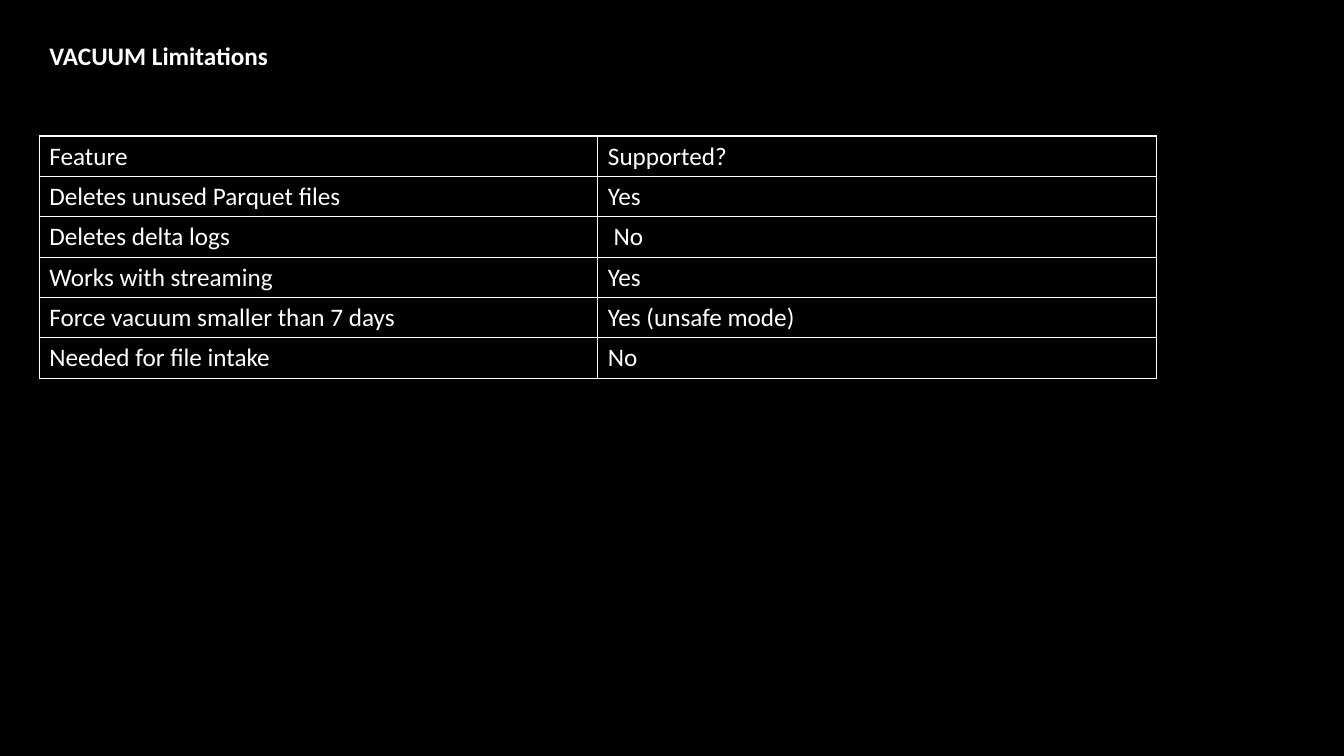
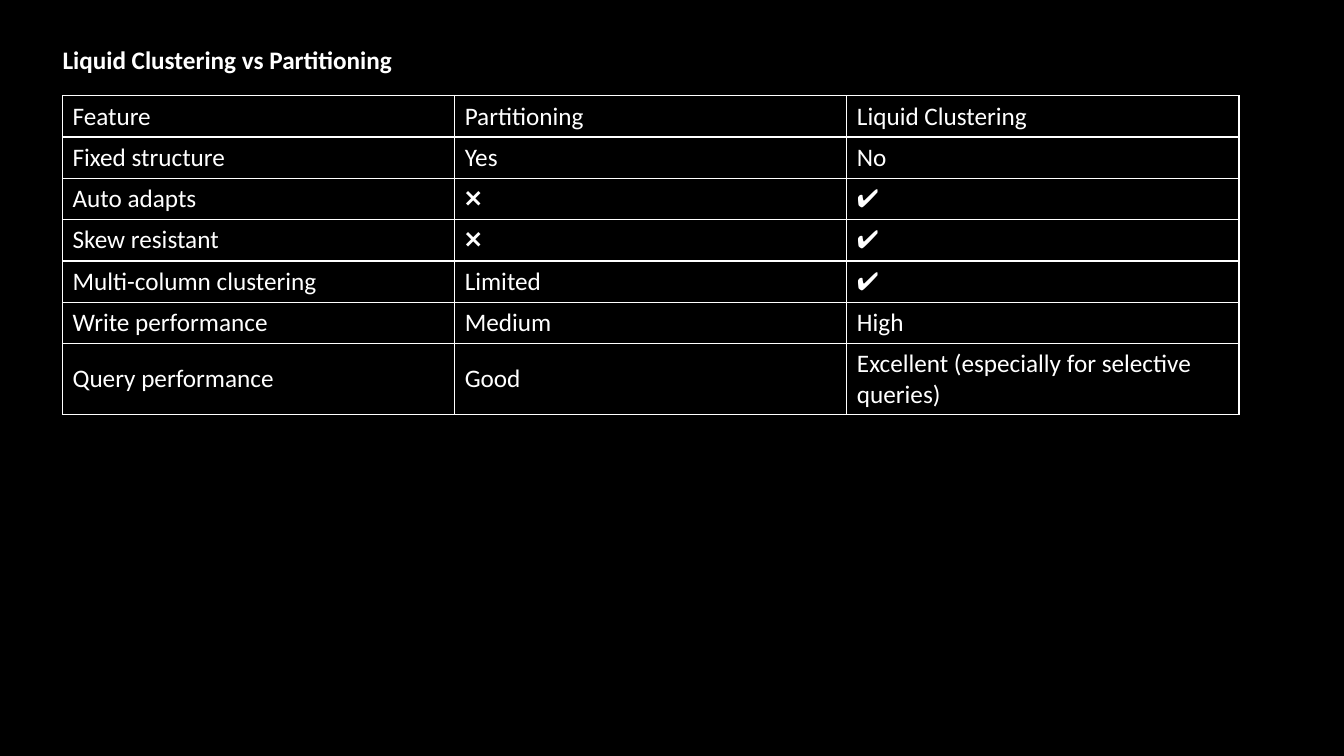
import pptx
import pptx.dml.color
import pptx.enum.text
import pptx.oxml.ns
import pptx.util
import lxml.etree

Inches = pptx.util.Inches
BLACK = pptx.dml.color.RGBColor(0x00, 0x00, 0x00)
WHITE = pptx.dml.color.RGBColor(0xFF, 0xFF, 0xFF)
BODY_FONT = {"name": "Calibri", "size": pptx.util.Pt(18), "bold": False}
TITLE_FONT = {**BODY_FONT, "bold": True}
TITLE_FRAME = {
    "word_wrap": True,
    "vertical_anchor": pptx.enum.text.MSO_ANCHOR.TOP,
    "auto_size": pptx.enum.text.MSO_AUTO_SIZE.SHAPE_TO_FIT_TEXT,
}
BORDER_WIDTH = pptx.util.Pt(1)

SLIDES = [
    {
        "title": "VACUUM Limitations",
        "title_box": (0.39, 0.35, 12.42, 0.4),
        "table_at": (0.39, 1.35),
        "column_width": 5.54,
        "row_height": 0.4,
        "last_row_height": 0.4,
        "rows": [
            ("Feature", "Supported?"),
            ("Deletes unused Parquet files", "Yes"),
            ("Deletes delta logs", " No"),
            ("Works with streaming", "Yes"),
            ("Force vacuum smaller than 7 days", "Yes (unsafe mode)"),
            ("Needed for file intake", "No"),
        ],
    },
    {
        "title": "Liquid Clustering vs Partitioning",
        "title_box": (0.52, 0.39, 6.67, 0.4),
        "table_at": (0.62, 0.95),
        "column_width": 3.89,
        "row_height": 0.41,
        "last_row_height": 0.7,
        "rows": [
            ("Feature", "Partitioning", "Liquid Clustering"),
            ("Fixed structure", "Yes", "No"),
            ("Auto adapts", "❌", "✔"),
            ("Skew resistant", "❌", "✔"),
            ("Multi-column clustering", "Limited", "✔"),
            ("Write performance", "Medium", "High"),
            ("Query performance", "Good", "Excellent (especially for selective queries)"),
        ],
    },
]


def apply_format(target, values):
    for name, value in values.items():
        setattr(target, name, value)


def style_text(para, font_values):
    para.alignment = pptx.enum.text.PP_ALIGN.LEFT
    apply_format(para.font, font_values)
    para.font.color.rgb = WHITE


def add_title(page, text, box):
    title = page.shapes.title
    position = dict(zip(("left", "top", "width", "height"), map(Inches, box)))
    apply_format(title, position)
    title.text_frame.text = text
    apply_format(title.text_frame, TITLE_FRAME)
    style_text(title.text_frame.paragraphs[0], TITLE_FONT)


def add_borders(cell):
    properties = cell._tc.get_or_add_tcPr()
    qn = pptx.oxml.ns.qn
    for side in ("a:lnL", "a:lnR", "a:lnT", "a:lnB"):
        line = lxml.etree.SubElement(properties, qn(side), w=str(BORDER_WIDTH))
        fill = lxml.etree.SubElement(line, qn("a:solidFill"))
        lxml.etree.SubElement(fill, qn("a:srgbClr"), val=str(WHITE))


def style_cell(cell, text):
    cell.text = text
    cell.vertical_anchor = pptx.enum.text.MSO_ANCHOR.MIDDLE
    add_borders(cell)
    cell.fill.background()
    style_text(cell.text_frame.paragraphs[0], BODY_FONT)


def add_grid(page, rows, corner, column_width, row_height, last_row_height):
    left, top = corner
    column_count = len(rows[0])
    heights = [row_height] * (len(rows) - 1) + [last_row_height]
    frame = page.shapes.add_table(
        len(rows), column_count, Inches(left), Inches(top),
        Inches(column_width * column_count), Inches(sum(heights)),
    )
    table = frame.table
    apply_format(table, {"first_row": False, "horz_banding": False})
    for column in table.columns:
        column.width = Inches(column_width)
    for row, height, texts in zip(table.rows, heights, rows):
        row.height = Inches(height)
        for cell, text in zip(row.cells, texts):
            style_cell(cell, text)


def add_table_slide(deck, content):
    page = deck.slides.add_slide(deck.slide_layouts.get_by_name("Title Only"))
    add_title(page, content["title"], content["title_box"])
    add_grid(
        page, content["rows"], content["table_at"], content["column_width"],
        content["row_height"], content["last_row_height"],
    )


def main():
    deck = pptx.Presentation()
    apply_format(deck, {"slide_width": Inches(13.33), "slide_height": Inches(7.5)})
    background = deck.slide_master.background.fill
    background.solid()
    background.fore_color.rgb = BLACK
    for content in SLIDES:
        add_table_slide(deck, content)
    deck.save("out.pptx")


if __name__ == "__main__":
    main()
